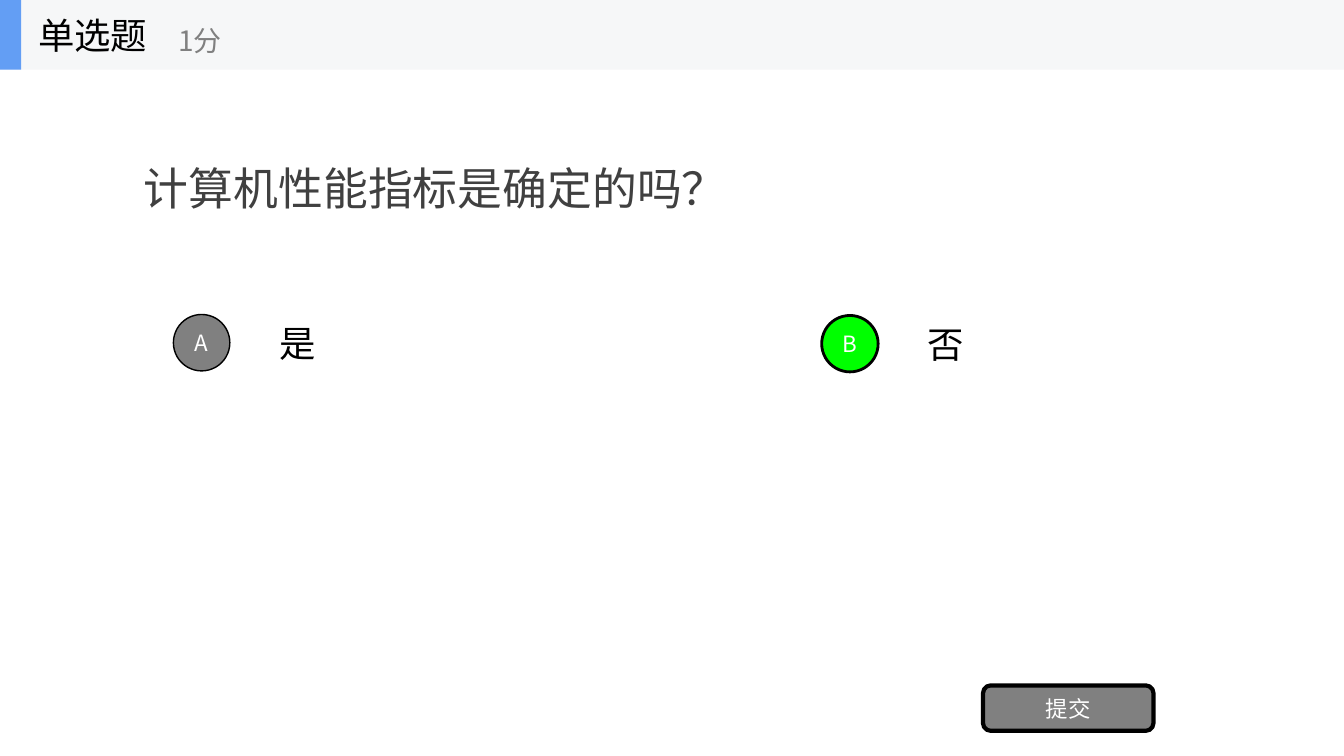
from lxml.etree import SubElement
from pptx import Presentation
from pptx.dml.color import RGBColor
from pptx.enum.shapes import MSO_SHAPE
from pptx.enum.text import MSO_ANCHOR, PP_ALIGN
from pptx.oxml.ns import qn
from pptx.util import Inches, Pt

# Content
FONT = "Noto Sans CJK SC"
COLORS = {
    "black": "000000", "white": "FFFFFF", "gray": "808080", "ink": "404040",
    "green": "00FF00", "band": "F6F7F8", "accent": "639EF4",
}
QUESTION = "计算机性能指标是确定的吗？"
KIND, SCORE, SUBMIT = "单选题", "1分", "提交"
# letter, answer, circle left, circle top, answer width, fill, line width
OPTIONS = [
    ("A", "是", 1.72, 3.12, 1.5, "gray", 1),
    ("B", "否", 8.15, 3.13, 1.69, "green", 2),
]

# Layout in inches
WIDTH, HEIGHT = 13.33, 7.5
HEADER_HEIGHT = 0.69
CIRCLE = 0.56
ANSWER_DX, ANSWER_HEIGHT = 0.95, 0.7

deck = Presentation()
deck.slide_width, deck.slide_height = Inches(WIDTH), Inches(HEIGHT)
slide = deck.slides.add_slide(deck.slide_layouts[6])


def rgb(name):
    return RGBColor.from_string(COLORS[name])


def write(holder, text, size, color, align=PP_ALIGN.LEFT, wrap=True):
    frame = holder.text_frame
    frame.word_wrap = wrap
    frame.vertical_anchor = MSO_ANCHOR.MIDDLE
    paragraph = frame.paragraphs[0]
    paragraph.text = text
    paragraph.alignment = align
    font = paragraph.font
    font.size = Pt(size)
    font.color.rgb = rgb(color)
    font.name = FONT
    # East Asian typeface follows the Latin one
    defaults = paragraph._p.pPr.find(qn("a:defRPr"))
    SubElement(defaults, qn("a:ea"), typeface=FONT)


def add_label(box, text, size, color, wrap=True):
    label = slide.shapes.add_textbox(*map(Inches, box))
    write(label, text, size, color, wrap=wrap)


def add_block(kind, box, fill, line=None, text=None):
    block = slide.shapes.add_shape(kind, *map(Inches, box))
    block.shadow.inherit = False
    block.fill.solid()
    block.fill.fore_color.rgb = rgb(fill)
    if line:
        block.line.color.rgb = rgb("black")
        block.line.width = Pt(line)
    else:
        block.line.fill.background()
    if text:
        block.text_frame.margin_left = block.text_frame.margin_right = 0
        write(block, text, 16, "white", PP_ALIGN.CENTER)


# Question
add_label((1.33, HEADER_HEIGHT, 10.67, 2.34), QUESTION, 32, "ink")

# Options: lettered circle, with the answer centred on it
for letter, answer, left, top, width, fill, line in OPTIONS:
    answer_top = top - (ANSWER_HEIGHT - CIRCLE) / 2
    add_label((left + ANSWER_DX, answer_top, width, ANSWER_HEIGHT),
              answer, 26, "black")
    add_block(MSO_SHAPE.OVAL, (left, top, CIRCLE, CIRCLE), fill, line, letter)

# Submit button
add_block(MSO_SHAPE.ROUNDED_RECTANGLE, (9.75, 6.8, 1.69, 0.45),
          "gray", 3, SUBMIT)

# Header
add_block(MSO_SHAPE.RECTANGLE, (0, 0, WIDTH, HEADER_HEIGHT), "band")
add_block(MSO_SHAPE.RECTANGLE, (0, 0, 0.21, HEADER_HEIGHT), "accent")
add_label((0.28, 0, 2.08, HEADER_HEIGHT), KIND, 26, "black", wrap=False)
add_label((1.67, 0.12, 2.5, 0.56), SCORE, 20, "gray", wrap=False)

deck.save("out.pptx")
